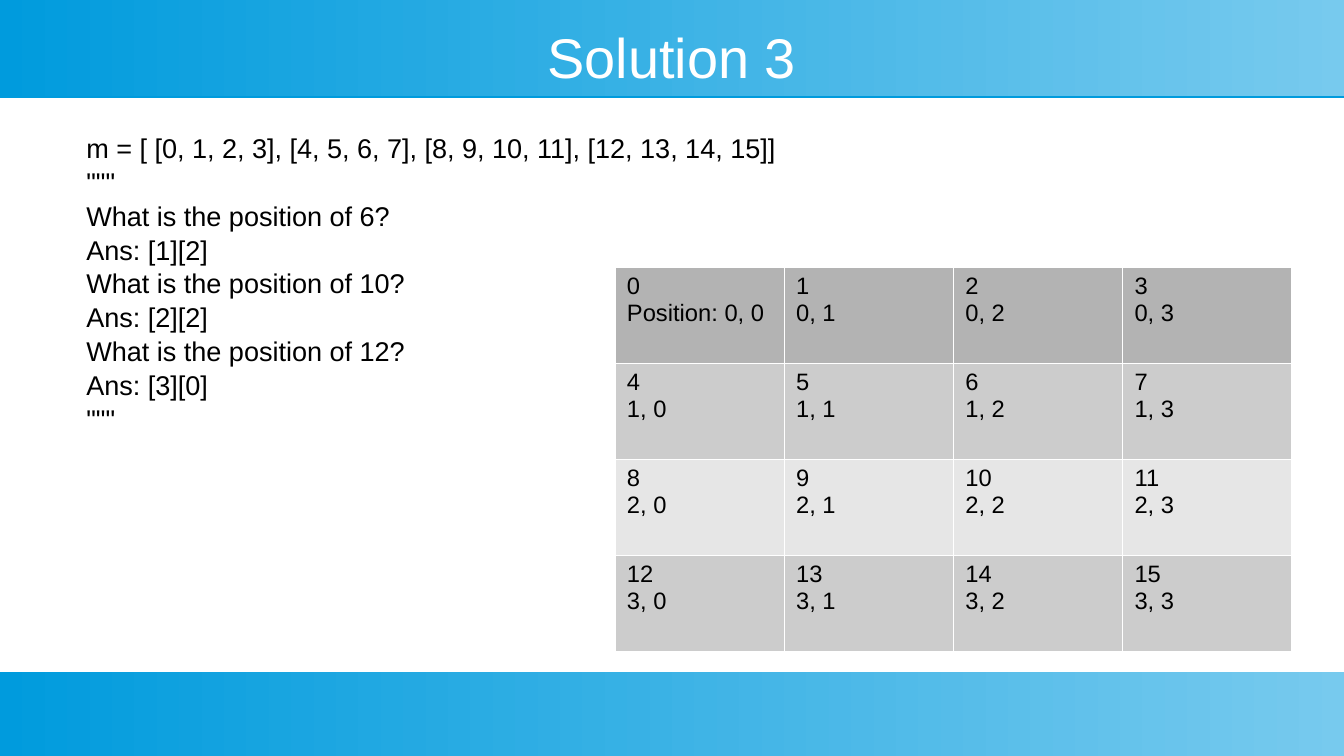
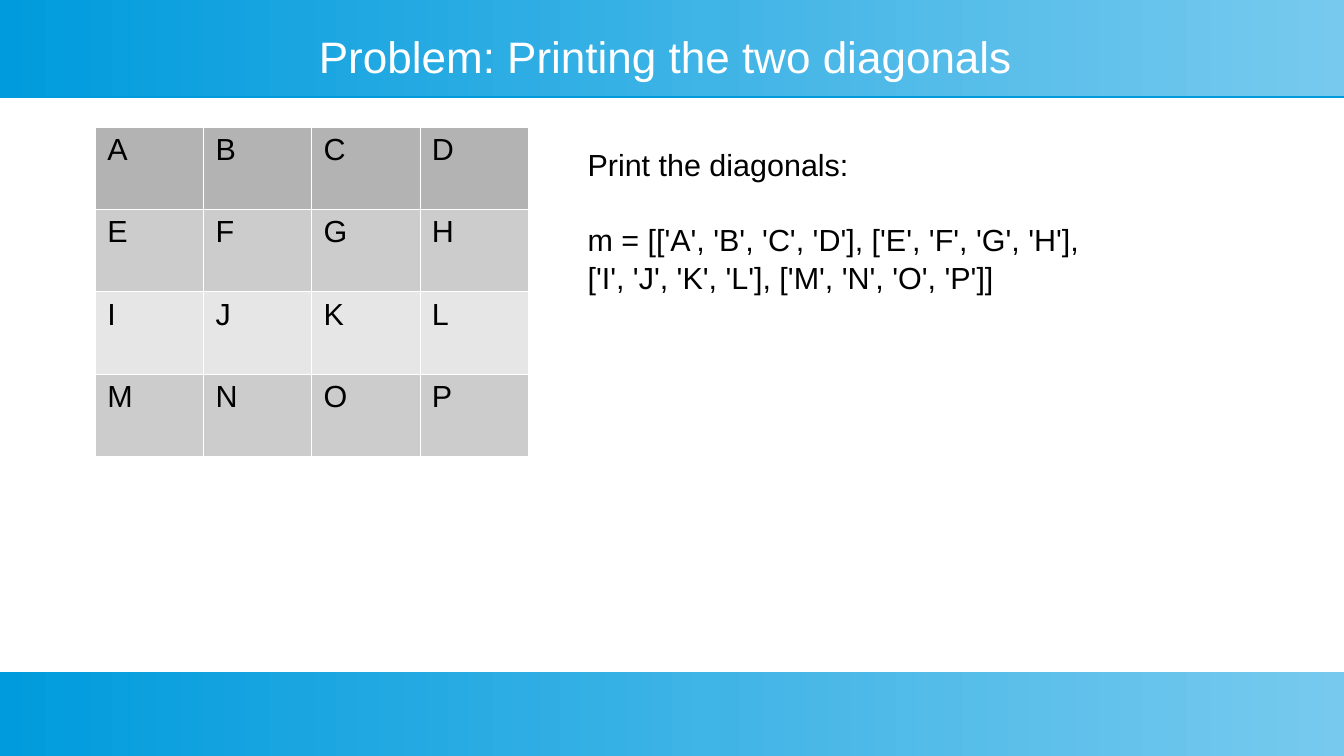
import dataclasses
import typing

import lxml.etree
import pptx
import pptx.dml.color
import pptx.enum.shapes
import pptx.enum.text
import pptx.oxml
import pptx.oxml.ns
import pptx.util

Align = pptx.enum.text.PP_ALIGN
Anchor = pptx.enum.text.MSO_ANCHOR
qn = pptx.oxml.ns.qn


@dataclasses.dataclass(frozen=True)
class Theme:
    font: str = "Arial"
    deep_blue: str = "009BDD"
    light_blue: str = "77CAEE"
    white: str = "FFFFFF"
    black: str = "000000"
    row_fills: tuple[str, ...] = ("B3B3B3", "CCCCCC", "E6E6E6", "CCCCCC")
    border_pt: float = 0.06
    shadow_pt: float = 0.9
    title_pt: int = 33
    long_title_pt: int = 26
    large_pt: int = 18
    body_pt: int = 16
    small_pt: int = 14
    line_spacing: float = 1.04


class Box(typing.NamedTuple):
    """A place in percent of the slide's width and height."""
    x: float
    y: float
    w: float
    h: float

    def lengths(self) -> tuple[int, int, int, int]:
        return (int(WIDTH * self.x / 100), int(HEIGHT * self.y / 100),
                int(WIDTH * self.w / 100), int(HEIGHT * self.h / 100))


@dataclasses.dataclass(frozen=True)
class MatrixSlide:
    title: str
    title_pt: int
    matrix: list[list[str]]
    matrix_box: Box
    matrix_pt: int
    text: str
    text_box: Box
    text_pt: int
    first_gap_pt: float = 0  # space after the first paragraph


THEME = Theme()
WIDTH, HEIGHT = pptx.util.Inches(11.02), pptx.util.Inches(6.2)
BANDS = (Box(0, 0, 100, 12.74), Box(0, 88.87, 100, 11.13))
TITLE_BOX = Box(3.54, 3.23, 92.92, 8.39)
SIZE = 4

SLIDES = (
    MatrixSlide(
        title="Solution 3",
        title_pt=THEME.title_pt,
        matrix=[[f"{SIZE * row + col}\n{'' if row or col else 'Position: '}{row}, {col}"
                 for col in range(SIZE)] for row in range(SIZE)],
        matrix_box=Box(45.74, 35.32, 50.36, 50.81),
        matrix_pt=THEME.small_pt,
        text='''m = [ [0, 1, 2, 3], [4, 5, 6, 7], [8, 9, 10, 11], [12, 13, 14, 15]]
"""
What is the position of 6?
Ans: [1][2]
What is the position of 10?
Ans: [2][2]
What is the position of 12?
Ans: [3][0]
"""''',
        text_box=Box(5.54, 16.45, 56.99, 50.16),
        text_pt=THEME.body_pt,
    ),
    MatrixSlide(
        title="Problem: Printing the two diagonals ",
        title_pt=THEME.long_title_pt,
        matrix=[list(row) for row in ("ABCD", "EFGH", "IJKL", "MNOP")],
        matrix_box=Box(7.08, 16.77, 32.21, 43.55),
        matrix_pt=THEME.large_pt,
        text="""Print the diagonals:
m = [['A', 'B', 'C', 'D'], ['E', 'F', 'G', 'H'],
['I', 'J', 'K', 'L'], ['M', 'N', 'O', 'P']]""",
        text_box=Box(42.83, 18.39, 51.81, 19.68),
        text_pt=THEME.large_pt,
        first_gap_pt=21.5,
    ),
)


def rgb(code: str) -> pptx.dml.color.RGBColor:
    return pptx.dml.color.RGBColor.from_string(code)


def write_text(tf, text: str, *, size: float, color: str = THEME.black,
               align=Align.LEFT, spacing: float = 1.0, first_gap: float = 0) -> None:
    """Write one paragraph for each line of text."""
    for i, line in enumerate(text.split("\n")):
        p = tf.add_paragraph() if i else tf.paragraphs[0]
        p.alignment = align
        p.line_spacing = spacing
        if i == 0 and first_gap:
            p.space_after = pptx.util.Pt(first_gap)
        r = p.add_run()
        r.text = line
        r.font.name = THEME.font
        r.font.size = pptx.util.Pt(size)
        r.font.color.rgb = rgb(color)


def place(sp, box: Box) -> None:
    sp.left, sp.top, sp.width, sp.height = box.lengths()


def add_band(s, box: Box):
    """Add a gradient band with a thin blue shadow below it."""
    sp = s.shapes.add_shape(pptx.enum.shapes.MSO_SHAPE.RECTANGLE, *box.lengths())
    sp.fill.gradient()
    sp.fill.gradient_angle = 0
    for stop, code in zip(sp.fill.gradient_stops, (THEME.deep_blue, THEME.light_blue)):
        stop.color.rgb = rgb(code)
    sp.line.fill.background()
    sp.shadow.inherit = False
    effects = sp.element.spPr.find(qn("a:effectLst"))
    shadow = lxml.etree.SubElement(
        effects, qn("a:outerShdw"), dist=str(pptx.util.Pt(THEME.shadow_pt)),
        dir="5400000", algn="t", rotWithShape="0")
    lxml.etree.SubElement(shadow, qn("a:srgbClr"), val=THEME.deep_blue)
    return sp


def style_layout(layout, s) -> None:
    """Give the layout its bands and title place; s serves to build the bands."""
    for ph in list(layout.placeholders):
        if ph.placeholder_format.idx != 0:
            layout.shapes.element.remove(ph.element)
            continue
        place(ph, TITLE_BOX)
        tf = ph.text_frame
        tf.margin_left = tf.margin_right = tf.margin_top = tf.margin_bottom = 0
        tf.vertical_anchor = Anchor.MIDDLE
        tf.word_wrap = True
    bands = [add_band(s, box) for box in BANDS]
    for i, band in enumerate(bands):
        layout.shapes.element.insert(2 + i, band.element)


def set_borders(cell) -> None:
    tc_pr = cell._tc.get_or_add_tcPr()
    for i, side in enumerate(("lnL", "lnR", "lnT", "lnB")):
        ln = lxml.etree.Element(qn(f"a:{side}"), w=str(pptx.util.Pt(THEME.border_pt)))
        fill = lxml.etree.SubElement(ln, qn("a:solidFill"))
        lxml.etree.SubElement(fill, qn("a:srgbClr"), val=THEME.white)
        tc_pr.insert(i, ln)


def add_matrix(s, matrix: list[list[str]], box: Box, size: float) -> None:
    table = s.shapes.add_table(SIZE, SIZE, *box.lengths()).table
    table.first_row = table.horz_banding = False
    for row, (values, fill) in enumerate(zip(matrix, THEME.row_fills)):
        for col, value in enumerate(values):
            cell = table.cell(row, col)
            cell.fill.solid()
            cell.fill.fore_color.rgb = rgb(fill)
            set_borders(cell)
            write_text(cell.text_frame, value, size=size)


def fill_slide(s, content: MatrixSlide) -> None:
    # Title
    tf = s.shapes.title.text_frame
    tf.auto_size = pptx.enum.text.MSO_AUTO_SIZE.NONE
    write_text(tf, content.title, size=content.title_pt, color=THEME.white,
               align=Align.CENTER)
    # Matrix
    add_matrix(s, content.matrix, content.matrix_box, content.matrix_pt)
    # Text beside the matrix
    tf = s.shapes.add_textbox(*content.text_box.lengths()).text_frame
    tf.word_wrap = True
    write_text(tf, content.text, size=content.text_pt, spacing=THEME.line_spacing,
               first_gap=content.first_gap_pt)


def main() -> None:
    prs = pptx.Presentation()
    prs.slide_width, prs.slide_height = WIDTH, HEIGHT
    layout = prs.slide_layouts.get_by_name("Title Only")
    slides = [prs.slides.add_slide(layout) for _ in SLIDES]
    style_layout(layout, slides[0])
    for s, content in zip(slides, SLIDES):
        fill_slide(s, content)
    prs.save("out.pptx")


if __name__ == "__main__":
    main()
